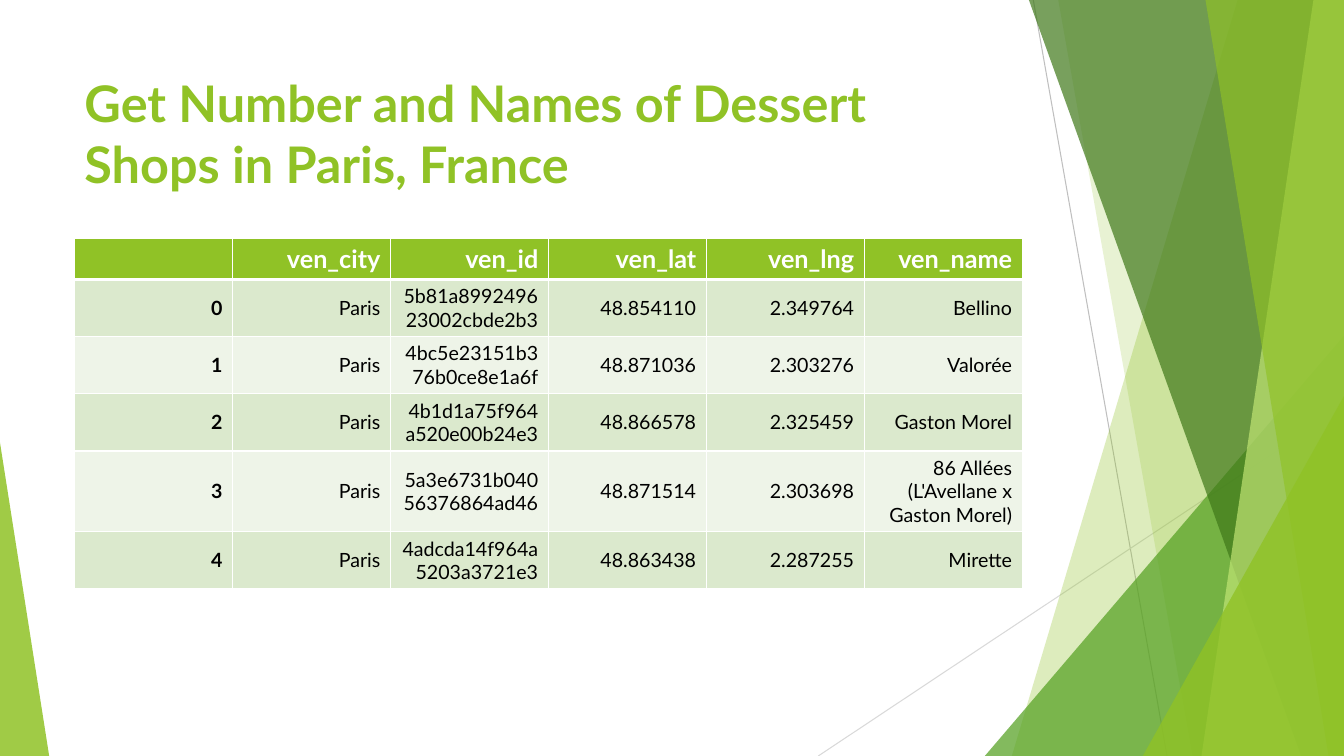
from dataclasses import dataclass

from lxml import etree
from pptx import Presentation
from pptx import util as u
from pptx.dml.color import RGBColor
from pptx.enum import shapes, text
from pptx.oxml import ns


@dataclass(frozen=True)
class Theme:
    font: str = "Lato"
    lime: str = "90C226"
    grass: str = "54A021"
    forest: str = "3F7819"
    pale: str = "C0E474"
    row_odd: str = "DBE9CD"
    row_even: str = "EEF4E8"
    white: str = "FFFFFF"
    black: str = "000000"
    dark_line: str = "BFBFBF"
    light_line: str = "D9D9D9"
    title_size: int = 36
    header_size: int = 18
    body_size: int = 14


@dataclass(frozen=True)
class Box:
    left: float
    top: float
    width: float
    height: float

    @property
    def right(self):
        return self.left + self.width

    @property
    def bottom(self):
        return self.top + self.height

    def lengths(self):
        return [u.Cm(value) for value in (self.left, self.top, self.width, self.height)]


THEME = Theme()
SLIDE = Box(0, 0, 33.87, 19.05)
PANEL = Box(24.82, 0, 9.05, 19.05)
CORNER = Box(0, 11.15, 1.24, 7.9)
TITLE = Box(1.88, 1.7, 23.88, 3.66)
TABLE = Box(1.88, 6, 23.88, 8.83)

HEADER = ("", "ven_city", "ven_id", "ven_lat", "ven_lng", "ven_name")
VENUES = (
    ("5b81a899249623002cbde2b3", "48.854110", "2.349764", "Bellino"),
    ("4bc5e23151b376b0ce8e1a6f", "48.871036", "2.303276", "Valorée"),
    ("4b1d1a75f964a520e00b24e3", "48.866578", "2.325459", "Gaston Morel"),
    ("5a3e6731b04056376864ad46", "48.871514", "2.303698",
     "86 Allées (L'Avellane x Gaston Morel)"),
    ("4adcda14f964a5203a3721e3", "48.863438", "2.287255", "Mirette"),
)
ROW_HEIGHTS = (1.04, 1.44, 1.44, 1.44, 2.03, 1.44)

FACETS = (
    ("band", 2.68, 8.37, THEME.lime, 30),
    ("band", 7.2, 3.82, THEME.lime, 20),
    ("peak", 9.05, 10.59, THEME.grass, 72),
    ("band", 7.94, 1.08, THEME.forest, 70),
    ("band", 0.77, 3.59, THEME.pale, 70),
    ("band", 3.49, 0.39, THEME.lime, 65),
    ("peak", 5.07, 9.07, THEME.lime, 80),
)


def apply(target, formats):
    for name, value in formats.items():
        setattr(target, name, value)


def paint(shape, color, opacity):
    shape.shadow.inherit = False
    shape.fill.solid()
    shape.fill.fore_color.rgb = RGBColor.from_string(color)
    shape.line.fill.background()
    tint = shape.fill._xPr.find(".//" + ns.qn("a:srgbClr"))
    etree.SubElement(tint, ns.qn("a:alpha"), val=str(opacity * 1000))


def add_span(para, wording, size, color, bold):
    span = para.add_run()
    span.text = wording
    apply(span.font, {"name": THEME.font, "size": u.Pt(size), "bold": bold})
    span.font.color.rgb = RGBColor.from_string(color)


def add_line(page, start, end, color):
    points = [u.Cm(value) for value in (*start, *end)]
    line = page.shapes.add_connector(shapes.MSO_CONNECTOR.STRAIGHT, *points)
    line.line.width = u.Pt(0.75)
    line.line.color.rgb = RGBColor.from_string(color)
    etree.SubElement(line._element.spPr, ns.qn("a:effectLst"))


def add_band(page, box, top_inset, bottom_inset):
    corners = (
        (box.right - top_inset, box.top),
        (box.right, box.top),
        (box.right, box.bottom),
        (box.right - bottom_inset, box.bottom),
    )
    points = [(u.Cm(x), u.Cm(y)) for x, y in corners]
    builder = page.shapes.build_freeform(*points[0])
    builder.add_line_segments(points[1:], close=True)
    return builder.convert_to_shape()


def add_peak(page, box, apex):
    peak = page.shapes.add_shape(shapes.MSO_SHAPE.ISOSCELES_TRIANGLE, *box.lengths())
    peak.adjustments[0] = apex
    return peak


def draw_panel(page, box):
    add_line(page, (box.right - 7.83, box.top), (box.right - 4.46, box.bottom),
             THEME.dark_line)
    add_line(page, (box.right, box.bottom - 8.81), (box.right - 13.25, box.bottom),
             THEME.light_line)
    for kind, first, second, color, opacity in FACETS:
        if kind == "band":
            facet = add_band(page, box, first, second)
        else:
            facet = add_peak(
                page, Box(box.right - first, box.bottom - second, first, second), 1)
        paint(facet, color, opacity)


def draw_corner(page, box):
    paint(add_peak(page, box, 0), THEME.lime, 85)


def draw_title(page, box):
    frame = page.shapes.add_textbox(*box.lengths()).text_frame
    apply(frame, {"word_wrap": True, "vertical_anchor": text.MSO_ANCHOR.TOP})
    add_span(frame.paragraphs[0], "Get Number and Names of Dessert Shops in Paris, France",
             THEME.title_size, THEME.lime, True)


def add_borders(cell, bottom_width):
    properties = cell._tc.get_or_add_tcPr()
    for side, width in (("L", 1), ("R", 1), ("T", 1), ("B", bottom_width)):
        border = etree.SubElement(properties, ns.qn("a:ln" + side), w=str(u.Pt(width)))
        fill = etree.SubElement(border, ns.qn("a:solidFill"))
        etree.SubElement(fill, ns.qn("a:srgbClr"), val=THEME.white)


def fill_cell(cell, wording, background, size, color, bold, bottom_width):
    add_borders(cell, bottom_width)
    cell.fill.solid()
    cell.fill.fore_color.rgb = RGBColor.from_string(background)
    cell.vertical_anchor = text.MSO_ANCHOR.MIDDLE
    para = cell.text_frame.paragraphs[0]
    para.alignment = text.PP_ALIGN.RIGHT
    if wording:
        add_span(para, wording, size, color, bold)


def draw_table(page, box):
    rows = [HEADER] + [(str(i), "Paris", *venue) for i, venue in enumerate(VENUES)]
    table = page.shapes.add_table(len(rows), len(HEADER), *box.lengths()).table
    for column in table.columns:
        column.width = u.Cm(box.width / len(HEADER))
    for r, (row, height) in enumerate(zip(rows, ROW_HEIGHTS)):
        table.rows[r].height = u.Cm(height)
        for c, wording in enumerate(row):
            cell = table.cell(r, c)
            if r == 0:
                fill_cell(cell, wording, THEME.lime, THEME.header_size, THEME.white, True, 3)
            else:
                background = THEME.row_odd if r % 2 else THEME.row_even
                fill_cell(cell, wording, background, THEME.body_size, THEME.black, c == 0, 1)


def main():
    deck = Presentation()
    apply(deck, {"slide_width": u.Cm(SLIDE.width), "slide_height": u.Cm(SLIDE.height)})
    page = deck.slides.add_slide(deck.slide_layouts[6])
    draw_panel(page, PANEL)
    draw_corner(page, CORNER)
    draw_title(page, TITLE)
    draw_table(page, TABLE)
    deck.save("out.pptx")


if __name__ == "__main__":
    main()
